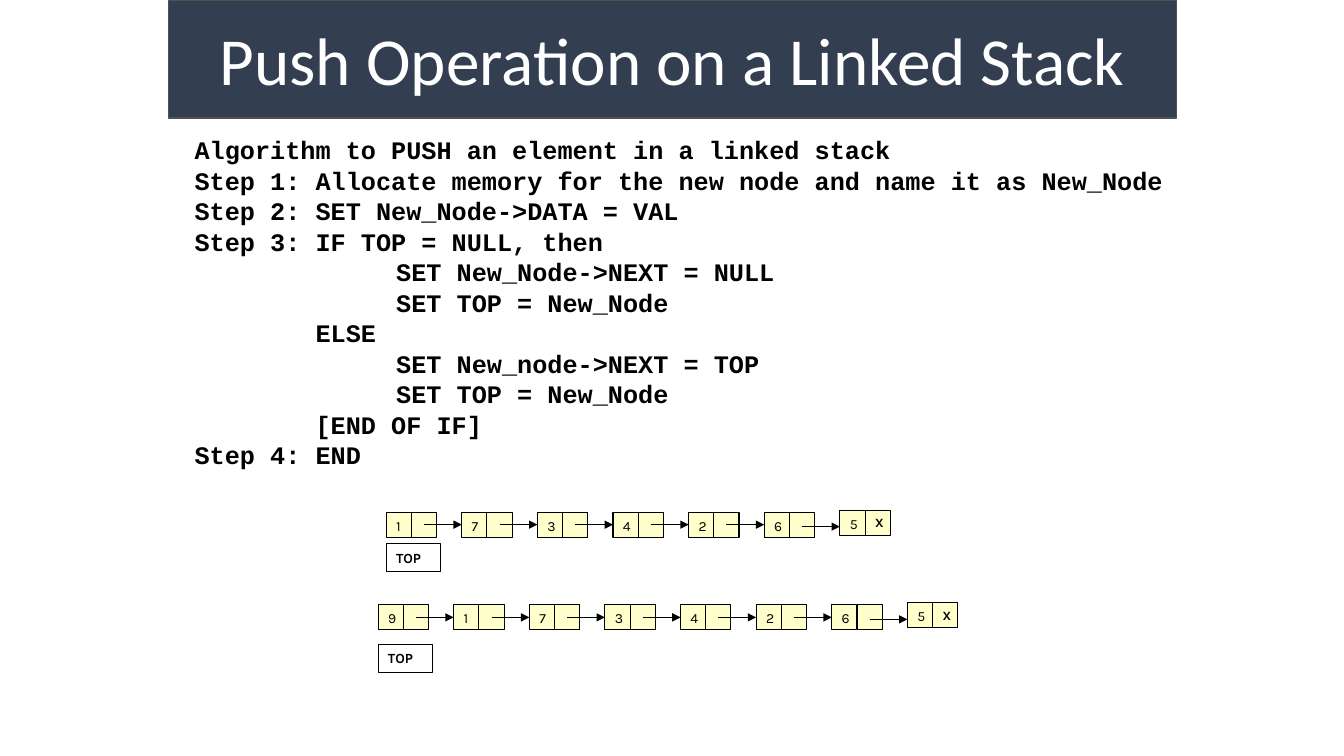
from lxml.etree import SubElement
from pptx import Presentation
from pptx.dml.color import RGBColor
from pptx.enum.shapes import MSO_CONNECTOR, MSO_SHAPE
from pptx.enum.text import MSO_ANCHOR, MSO_AUTO_SIZE, PP_ALIGN
from pptx.oxml.ns import qn
from pptx.util import Inches, Pt

TITLE = "Push Operation on a Linked Stack"
ALGORITHM = [
    (0, "Algorithm to PUSH an element in a linked stack"),
    (0, "Step 1: Allocate memory for the new node and name it as New_Node"),
    (0, "Step 2: SET New_Node->DATA = VAL"),
    (0, "Step 3: IF TOP = NULL, then"),
    (2, "SET New_Node->NEXT = NULL"),
    (2, "SET TOP = New_Node"),
    (1, "ELSE"),
    (2, "SET New_node->NEXT = TOP"),
    (2, "SET TOP = New_Node"),
    (1, "[END OF IF]"),
    (0, "Step 4: END"),
]
STACKS = [
    {"values": "1734265", "left": 3.83, "top": 5.08, "label_top": 5.39},
    {"values": "9173426" + "5", "left": 3.75, "top": 6, "label_top": 6.39},
]
COLORS = {"banner": "333F50", "border": "525252", "node": "FFFFCC",
          "ink": "000000", "paper": "FFFFFF"}
INDENTS = [0, 1.2, 2]
CELL = 0.25
PITCH = 3 * CELL
LAST_RISE = 0.02
LAST_ARROW_DROP = 0.02


def color(name):
    return RGBColor.from_string(COLORS[name])


def place(shape, left, top, width, height):
    shape.left, shape.top = Inches(left), Inches(top)
    shape.width, shape.height = Inches(width), Inches(height)


def style_text(paragraph, font_name, size, bold=False, ink="ink"):
    for run in paragraph.runs:
        run.font.name = font_name
        run.font.size = Pt(size)
        run.font.bold = bold
        run.font.color.rgb = color(ink)


def add_box(group, left, top, width, height, text="", size=10, bold=False, fill="node"):
    box = group.shapes.add_shape(MSO_SHAPE.RECTANGLE, Inches(left), Inches(top),
                                 Inches(width), Inches(height))
    box.shadow.inherit = False
    if fill:
        box.fill.solid()
        box.fill.fore_color.rgb = color(fill)
    else:
        box.fill.background()
    box.line.color.rgb = color("ink")
    box.line.width = Pt(0.75)
    if text:
        frame = box.text_frame
        frame.text = text
        frame.vertical_anchor = MSO_ANCHOR.TOP
        frame.paragraphs[0].alignment = PP_ALIGN.LEFT
        style_text(frame.paragraphs[0], "Karla", size, bold)
    return box


def add_arrow(group, left, middle, target=None):
    arrow = group.shapes.add_connector(
        MSO_CONNECTOR.STRAIGHT, Inches(left), Inches(middle),
        Inches(left + 1.5 * CELL), Inches(middle))
    if target:
        arrow.end_connect(target, 1)
    arrow.line.color.rgb = color("ink")
    arrow.line.width = Pt(0.75)
    properties = arrow._element.spPr
    SubElement(properties.find(qn("a:ln")), qn("a:tailEnd"), type="triangle")
    SubElement(properties, qn("a:effectLst"))


def add_stack(slide, values, left, top, label_top):
    group = slide.shapes.add_group_shape()
    last = len(values) - 1
    nodes = []
    for index, value in enumerate(values):
        node_left = left + index * PITCH
        is_last = index == last
        node_top = top - LAST_RISE if is_last else top
        nodes.append(add_box(group, node_left, node_top, CELL, CELL, value))
        add_box(group, node_left + CELL, node_top, CELL, CELL,
                "X" if is_last else "", 9, True)
    for index in range(last):
        arrow_left = left + index * PITCH + 1.5 * CELL
        middle = top + CELL / 2
        if index == last - 1:
            add_arrow(group, arrow_left, middle + LAST_ARROW_DROP)
        else:
            add_arrow(group, arrow_left, middle, nodes[index + 1])
    label = add_box(group, left, label_top, 0.54, 0.28, "TOP", 10, True, None)
    label.text_frame.vertical_anchor = MSO_ANCHOR.MIDDLE
    label.text_frame.word_wrap = False


def fill_title(title):
    place(title, 1.67, 0, 10, 1.17)
    title.fill.solid()
    title.fill.fore_color.rgb = color("banner")
    title.line.color.rgb = color("border")
    title.line.width = Pt(1)
    frame = title.text_frame
    frame.text = TITLE
    frame.auto_size = MSO_AUTO_SIZE.NONE
    frame.vertical_anchor = MSO_ANCHOR.MIDDLE
    frame.paragraphs[0].alignment = PP_ALIGN.CENTER
    style_text(frame.paragraphs[0], "Calibri", 48, ink="paper")


def fill_algorithm(body):
    place(body, 1.83, 1.28, 9.83, 3.43)
    frame = body.text_frame
    frame.text = "\n".join(text for level, text in ALGORITHM)
    frame.auto_size = MSO_AUTO_SIZE.NONE
    frame.vertical_anchor = MSO_ANCHOR.TOP
    for paragraph, (level, text) in zip(frame.paragraphs, ALGORITHM):
        paragraph.space_before = paragraph.space_after = Pt(0)
        paragraph.line_spacing = Pt(21.8)
        properties = paragraph._p.get_or_add_pPr()
        properties.set("marL", str(Inches(INDENTS[level])))
        properties.set("indent", "0")
        SubElement(properties, qn("a:buNone"))
        style_text(paragraph, "Courier New", 18, True)


def main():
    presentation = Presentation()
    presentation.slide_width, presentation.slide_height = Inches(13.33), Inches(7.5)
    slide = presentation.slides.add_slide(presentation.slide_layouts[1])
    fill_title(slide.shapes.title)
    fill_algorithm(slide.placeholders[1])
    for stack in STACKS:
        add_stack(slide, **stack)
    presentation.save("out.pptx")


if __name__ == "__main__":
    main()
